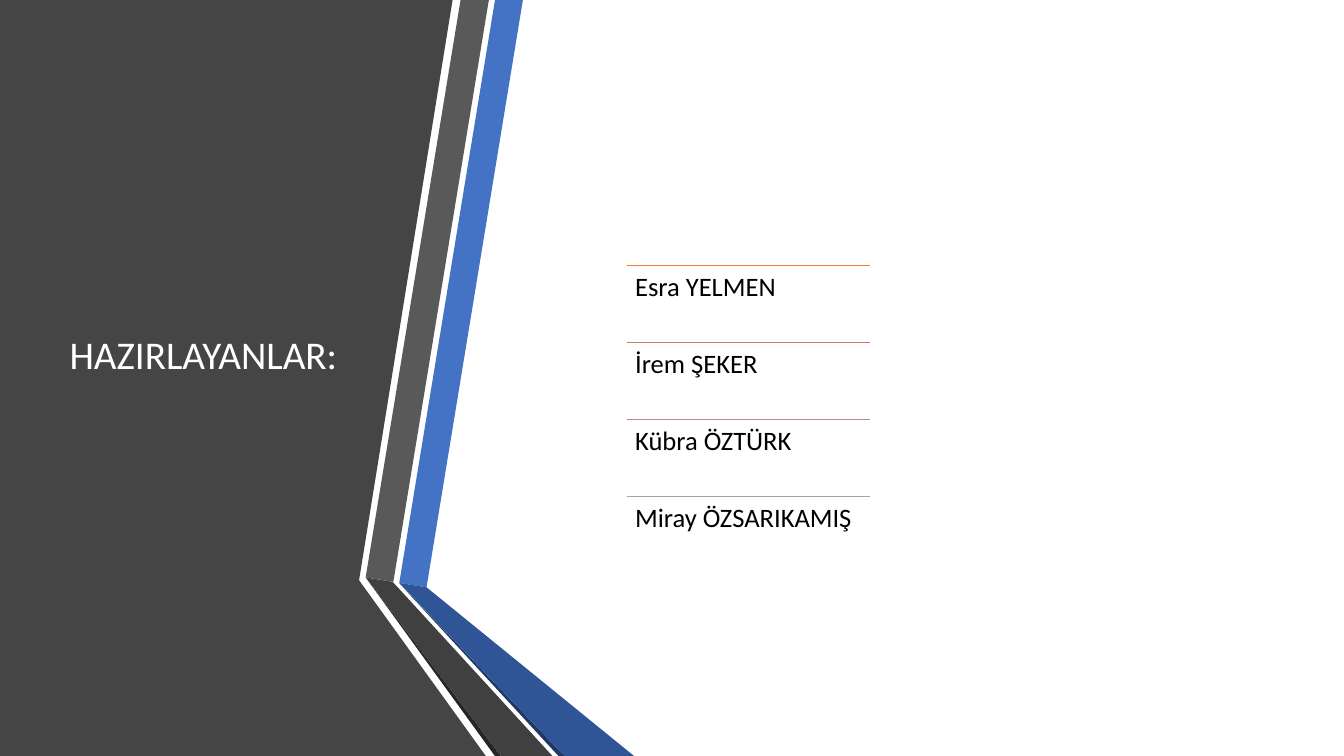
from dataclasses import dataclass

from lxml.etree import SubElement
from pptx import Presentation
from pptx.dml.color import RGBColor
from pptx.enum.shapes import MSO_CONNECTOR
from pptx.enum.text import MSO_ANCHOR, MSO_AUTO_SIZE, PP_ALIGN
from pptx.oxml.ns import qn
from pptx.slide import Slide
from pptx.util import Pt

WHITE = RGBColor(0xFF, 0xFF, 0xFF)
BLACK = RGBColor(0x00, 0x00, 0x00)
CHARCOAL = RGBColor(0x45, 0x45, 0x45)
GRAY = RGBColor(0x59, 0x59, 0x59)
DARK_GRAY = RGBColor(0x40, 0x40, 0x40)
GRAY_EDGE = RGBColor(0x26, 0x26, 0x26)
BLUE = RGBColor(0x44, 0x72, 0xC4)
DARK_BLUE = RGBColor(0x2F, 0x55, 0x97)
BLUE_EDGE = RGBColor(0x20, 0x38, 0x64)
ORANGE = RGBColor(0xED, 0x7D, 0x31)
COPPER = RGBColor(0xD1, 0x7B, 0x5C)
ROSE = RGBColor(0xB9, 0x8A, 0x82)
SILVER = RGBColor(0xA5, 0xA5, 0xA5)

FONT = "Calibri"
SLIDE_W, SLIDE_H = 960, 540
LIST_LEFT, LIST_TOP, LIST_W, ROW_H = 448, 189.75, 173.8, 54.9
INSET = 5.7


@dataclass
class Band:
    color: RGBColor
    points: list[tuple[float, float]]


@dataclass
class Author:
    name: str
    rule_color: RGBColor


BANDS = [
    Band(CHARCOAL, [(0, 0), (323.3, 0), (256.5, 414.5), (347, SLIDE_H), (0, SLIDE_H)]),
    Band(BLUE, [(285.2, 416.4), (304.7, 419.5), (373.5, 0), (353.6, 0)]),
    Band(GRAY, [(349.2, 0), (329, 0), (261.2, 412.4), (281, 415.6)]),
    Band(GRAY_EDGE, [(261.2, 412.4), (353.5, SLIDE_H), (357.8, SLIDE_H)]),
    Band(BLUE_EDGE, [(285.2, 416.6), (398.9, SLIDE_H), (403.2, SLIDE_H)]),
    Band(DARK_BLUE, [(285.2, 416.4), (403.2, SLIDE_H), (452.9, SLIDE_H), (304.7, 419.5)]),
    Band(DARK_GRAY, [(261.2, 412.4), (357.8, SLIDE_H), (394.6, SLIDE_H),
                     (284.4, 419.8), (280.4, 415.6)]),
]

AUTHORS = [
    Author("Esra YELMEN", ORANGE),
    Author("İrem ŞEKER", COPPER),
    Author("Kübra ÖZTÜRK", ROSE),
    Author("Miray ÖZSARIKAMIŞ", SILVER),
]


def add_band(s: Slide, band: Band) -> None:
    start, *rest = [(Pt(x), Pt(y)) for x, y in band.points]
    builder = s.shapes.build_freeform(*start)
    builder.add_line_segments(rest, close=True)
    sp = builder.convert_to_shape()
    sp.shadow.inherit = False
    sp.fill.solid()
    sp.fill.fore_color.rgb = band.color
    sp.line.fill.background()


def format_paragraph(p, size: float, color: RGBColor) -> None:
    p.alignment = PP_ALIGN.LEFT
    p.line_spacing = 0.9
    p.font.name = FONT
    p.font.size = Pt(size)
    p.font.color.rgb = color


def add_title(s: Slide, text: str) -> None:
    title = s.shapes.title
    title.left, title.top = Pt(42.5), Pt(54)
    title.width, title.height = Pt(218.9), Pt(401.8)
    tf = title.text_frame
    tf.text = text
    tf.word_wrap = True
    tf.auto_size = MSO_AUTO_SIZE.NONE
    tf.vertical_anchor = MSO_ANCHOR.MIDDLE
    format_paragraph(tf.paragraphs[0], 28, WHITE)


def add_author(s: Slide, author: Author, top: float) -> None:
    rule = s.shapes.add_connector(MSO_CONNECTOR.STRAIGHT, Pt(LIST_LEFT), Pt(top),
                                  Pt(LIST_LEFT + LIST_W), Pt(top))
    rule.line.color.rgb = author.rule_color
    rule.line.width = Pt(1)
    SubElement(rule._element.spPr, qn("a:effectLst"))

    box = s.shapes.add_textbox(Pt(LIST_LEFT), Pt(top), Pt(LIST_W), Pt(ROW_H))
    tf = box.text_frame
    tf.word_wrap = True
    tf.margin_left = tf.margin_right = tf.margin_top = tf.margin_bottom = Pt(INSET)
    tf.text = author.name
    format_paragraph(tf.paragraphs[0], 19, BLACK)


def main() -> None:
    prs = Presentation()
    prs.slide_width, prs.slide_height = Pt(SLIDE_W), Pt(SLIDE_H)
    s = prs.slides.add_slide(prs.slide_layouts.get_by_name("Title Only"))
    s.background.fill.solid()
    s.background.fill.fore_color.rgb = WHITE

    # Folded bands on the left
    for band in BANDS:
        add_band(s, band)

    # Title, raised above the bands
    add_title(s, "HAZIRLAYANLAR:")
    s.shapes._spTree.append(s.shapes.title._element)

    # Author list
    for row, author in enumerate(AUTHORS):
        add_author(s, author, LIST_TOP + row * ROW_H)

    prs.save("out.pptx")


if __name__ == "__main__":
    main()
